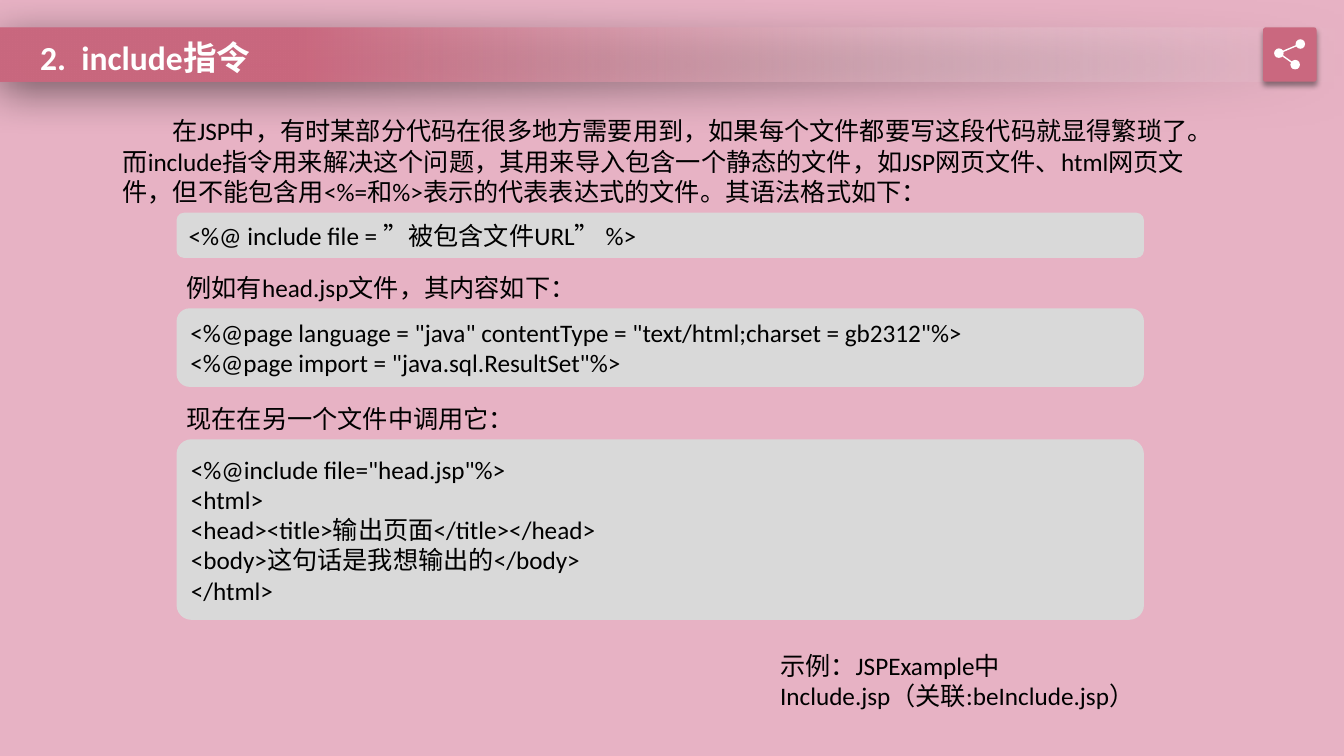
from lxml import etree
from pptx import Presentation
from pptx.dml.color import RGBColor
from pptx.enum.shapes import MSO_CONNECTOR as Link, MSO_SHAPE as Kind
from pptx.enum.text import MSO_ANCHOR as Anchor, PP_ALIGN as Align
from pptx.oxml.ns import qn
from pptx.util import Cm, Pt

PINK = RGBColor(0xE7, 0xB2, 0xC4)
ROSE = RGBColor(0xCA, 0x68, 0x7F)
PALE = RGBColor(0xF7, 0xFA, 0xFD)
GREY = RGBColor(0xD9, 0xD9, 0xD9)
WHITE = RGBColor(0xFF, 0xFF, 0xFF)
BLACK = RGBColor(0, 0, 0)

WIDE, HIGH = 33.87, 19.05

INTRO = ("在JSP中，有时某部分代码在很多地方需要用到，如果每个文件都要写这段代码就显得繁琐了。"
         "而include指令用来解决这个问题，其用来导入包含一个静态的文件，如JSP网页文件、html网页文件，"
         "但不能包含用<%=和%>表示的代表表达式的文件。其语法格式如下：")
# label, label width, code lines, top, height, corner
BLOCKS = [
    (None, 0, ["<%@ include file = ”被包含文件URL” %>"], 5.36, 1.14, 0.167),
    ("例如有head.jsp文件，其内容如下：", 10.41,
     ['<%@page language = "java" contentType = "text/html;charset = gb2312"%>',
      '<%@page import = "java.sql.ResultSet"%>'], 7.77, 1.98, 0.167),
    ("现在在另一个文件中调用它：", 8.84,
     ['<%@include file="head.jsp"%>', "<html>",
      "<head><title>输出页面</title></head>",
      "<body>这句话是我想输出的</body>", "</html>"], 11.07, 4.55, 0.082),
]
NOTE = ["示例：JSPExample中", "Include.jsp（关联:beInclude.jsp）"]


def write(shape, lines, size=18, color=BLACK, bold=False, wrap=True,
          anchor=Anchor.TOP, indent=0):
    frame = shape.text_frame
    frame.word_wrap = wrap
    frame.vertical_anchor = anchor
    frame.text = "\n".join(lines)
    for para in frame.paragraphs:
        para.alignment = Align.LEFT
        para.font.name = "Calibri"
        para.font.size = Pt(size)
        para.font.bold = bold
        para.font.color.rgb = color
        if indent:
            para._p.get_or_add_pPr().set("indent", str(Cm(indent)))


def label(slide, box, lines, **form):
    write(slide.shapes.add_textbox(*map(Cm, box)), lines, **form)


def block(slide, kind, box, color, corner=None):
    shape = slide.shapes.add_shape(kind, *map(Cm, box))
    shape.shadow.inherit = False
    shape.line.fill.background()
    shape.fill.solid()
    shape.fill.fore_color.rgb = color
    if corner is not None:
        shape.adjustments[0] = corner
    return shape


def shade(shape, alpha, blur, dist, angle):
    effects = shape._element.spPr.find(qn("a:effectLst"))
    outer = etree.SubElement(effects, qn("a:outerShdw"), blurRad=str(Pt(blur)),
                             dist=str(Pt(dist)), dir=str(angle * 60000),
                             algn="ctr", rotWithShape="0")
    tint = etree.SubElement(outer, qn("a:srgbClr"), val=str(BLACK))
    etree.SubElement(tint, qn("a:alpha"), val=str(alpha * 1000))


def header(slide, box, text):
    x, y, w, h = box
    # Band fading out to the right
    band = block(slide, Kind.RECTANGLE, box, ROSE)
    band.fill.gradient()
    band.fill.gradient_angle = 180
    start, end = band.fill.gradient_stops
    start.color.rgb, start.position = PALE, 0
    end.color.rgb, end.position = ROSE, 0.78
    tint = band._element.spPr.find(".//" + qn("a:srgbClr"))
    etree.SubElement(tint, qn("a:alpha"), val="0")
    shade(band, 50, 31, 6, 97)
    # Title, lifted above the band
    title = slide.shapes.title
    title.left, title.top = Cm(x + 0.76), Cm(y + 0.08)
    title.width, title.height = Cm(10.31), Cm(1.27)
    write(title, [text], size=24, color=WHITE, bold=True, anchor=Anchor.MIDDLE)
    slide.shapes._spTree.append(title._element)
    # Share button
    button(slide, (x + w - 2.04, y - 0.02, 1.35, 1.37))


def button(slide, box):
    x, y, w, h = box
    shade(block(slide, Kind.ROUNDED_RECTANGLE, box, ROSE, 0.05), 40, 4, 3, 90)
    hub, *ends = [(x + 0.4, y + 0.65), (x + 0.94, y + 0.42), (x + 0.81, y + 0.94)]
    for end in ends:
        line = slide.shapes.add_connector(Link.STRAIGHT, *map(Cm, hub + end))
        line.line.color.rgb = WHITE
        line.line.width = Pt(1)
        etree.SubElement(line._element.spPr, qn("a:effectLst"))
    for cx, cy in (hub, *ends):
        block(slide, Kind.OVAL, (cx - 0.12, cy - 0.12, 0.24, 0.24), WHITE)


def codes(slide, left, width):
    for name, span, lines, top, height, corner in BLOCKS:
        if name:
            label(slide, (left, top - 1.04, span, 1.02), [name], wrap=False)
        panel = block(slide, Kind.ROUNDED_RECTANGLE, (left, top, width, height),
                      GREY, corner)
        write(panel, lines, anchor=Anchor.MIDDLE)


def main():
    deck = Presentation()
    deck.slide_width, deck.slide_height = Cm(WIDE), Cm(HIGH)
    slide = deck.slides.add_slide(deck.slide_layouts[5])
    slide.background.fill.solid()
    slide.background.fill.fore_color.rgb = PINK
    header(slide, (0, 0.71, WIDE, 1.35), "2.  include指令")
    label(slide, (2.84, 2.79, 27.53, 2.57), [INTRO], indent=1.25)
    codes(slide, 4.45, 24.38)
    label(slide, (19.41, 16.26, 10.41, 1.8), NOTE)
    deck.save("out.pptx")


if __name__ == "__main__":
    main()
